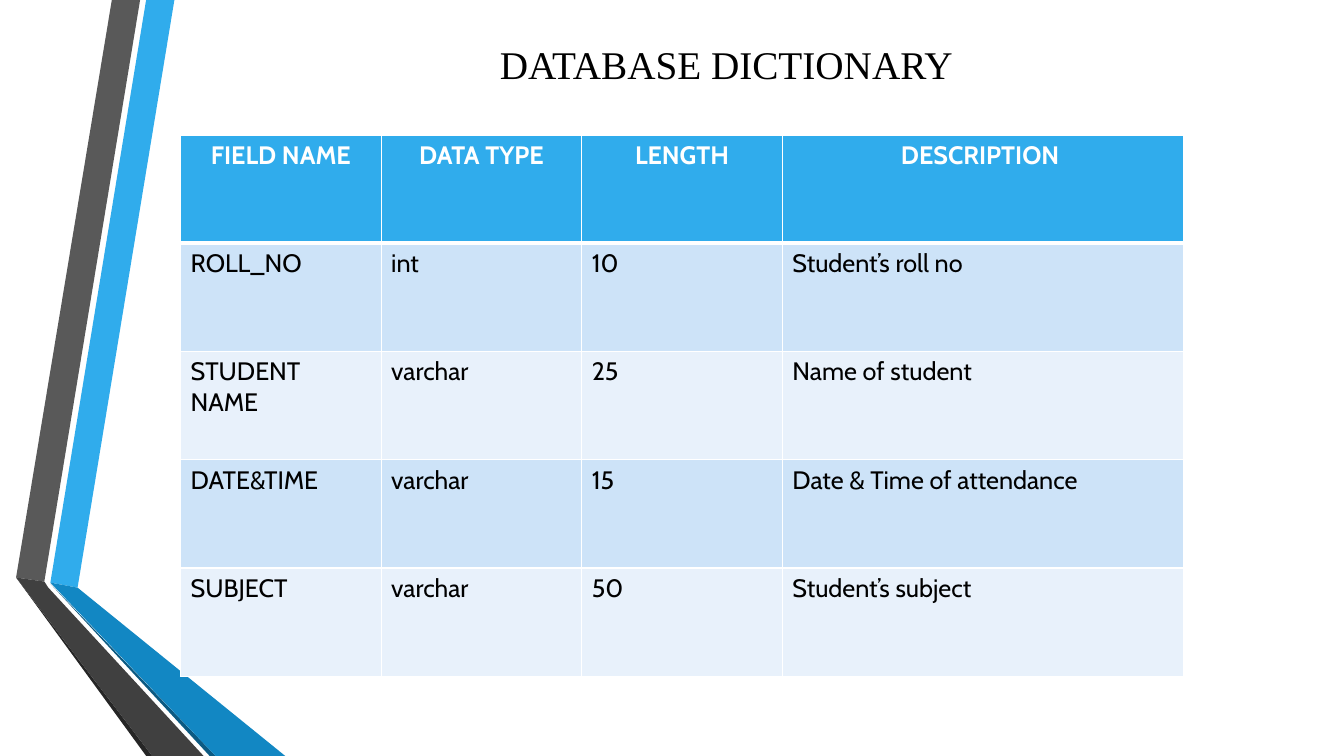
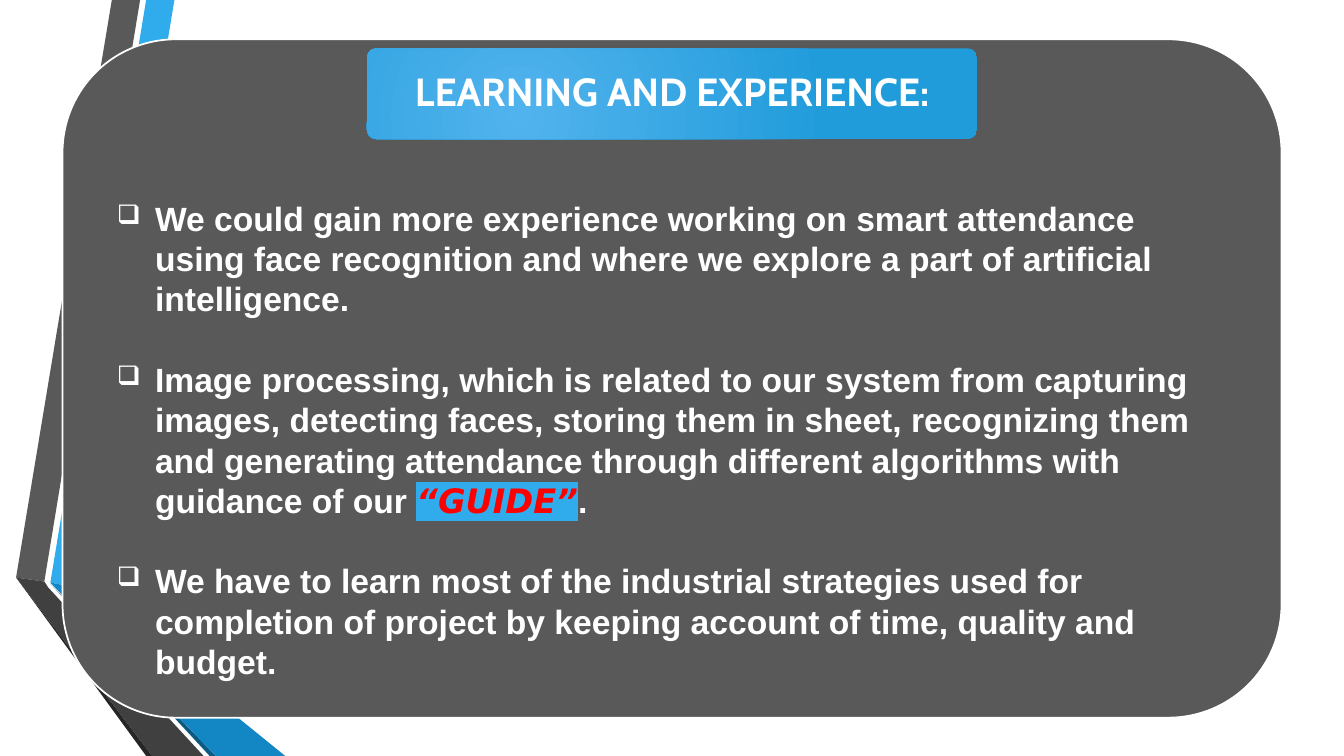
import lxml.etree
import pptx
import pptx.dml.color
import pptx.enum.shapes
import pptx.enum.text
import pptx.oxml
import pptx.oxml.ns
import pptx.util

SCALE = 9144
SLIDE_BOX = (0, 0, 1333, 750)
WHITE, BLACK, RED = "FFFFFF", "000000", "FF0000"
BLUE, GREY = "30ACEC", "595959"
ROW_FILLS = ("CDE3F8", "E8F1FB")
HEADING_GRADIENT = ("51B3ED", "219CDB")
SHAPES = pptx.enum.shapes.MSO_SHAPE
CENTER = pptx.enum.text.PP_ALIGN.CENTER

RIBBONS = (
    (BLUE, ((50, 578), (77, 583), (173, 0), (145, 0))),
    (GREY, ((139, 0), (111, 0), (16, 573), (44, 577))),
    ("262626", ((16, 573), (145, 750), (151, 750))),
    ("0C5A82", ((50, 579), (208, 750), (214, 750))),
    ("1287C3", ((50, 578), (214, 750), (283, 750), (77, 583))),
    ("404040", ((202, 750), (48, 583), (44, 577), (16, 573), (151, 750))),
)

DICTIONARY = (
    ("FIELD NAME", "DATA TYPE", "LENGTH", "DESCRIPTION "),
    ("ROLL_NO", "int", "10", "Student’s roll no"),
    ("STUDENT NAME", "varchar", "25", "Name of student"),
    ("DATE&TIME", "varchar", "15", "Date & Time of attendance"),
    ("SUBJECT", "varchar", "50", "Student’s subject"),
)
COLUMN_SHARES = (1, 1, 1, 2)

LESSONS = (
    ("We could gain more experience working on smart attendance using face "
     "recognition and where we explore a part of artificial intelligence.",),
    ("Image processing, which is related to our system from capturing images, "
     "detecting faces, storing them in sheet, recognizing them and generating "
     "attendance through different algorithms with guidance of our ", "“GUIDE”", "."),
    ("We have to learn most of the industrial strategies used for completion of "
     "project by keeping account of time, quality and budget.",),
)


def px(length):
    """Turn px into EMU."""
    return pptx.util.Emu(round(length * SCALE))


def color(value):
    """Turn a hex string into a colour."""
    return pptx.dml.color.RGBColor.from_string(value)


def add_xml(parent, tag, **attributes):
    """Append a DrawingML element to a parent."""
    return lxml.etree.SubElement(parent, pptx.oxml.ns.qn(tag), attributes)


def paint(shape, fill=None, line=None, line_width=1):
    """Give a shape a flat fill and an optional outline, without shadow."""
    shape.shadow.inherit = False
    if fill:
        shape.fill.solid()
        shape.fill.fore_color.rgb = color(fill)
    if line:
        shape.line.color.rgb = color(line)
        shape.line.width = pptx.util.Pt(line_width)
    else:
        shape.line.fill.background()


def style_run(run, size, font, ink, bold=False):
    """Set the font of a run."""
    run.font.size = pptx.util.Pt(size)
    run.font.name = font
    run.font.bold = bold
    run.font.color.rgb = color(ink)


def add_text_box(slide, box, wrap=True):
    """Place an empty text box and return its text frame."""
    frame = slide.shapes.add_textbox(*map(px, box)).text_frame
    frame.word_wrap = wrap
    return frame


def add_ribbons(slide, box):
    """Draw the folded ribbons at the left of the box."""
    left, top = box[:2]
    for fill, points in RIBBONS:
        outline = [(left + x, top + y) for x, y in points]
        builder = slide.shapes.build_freeform(*outline[0], scale=SCALE)
        builder.add_line_segments(outline[1:], close=True)
        paint(builder.convert_to_shape(), fill)


def add_slide(presentation):
    """Add a blank slide with the shared ribbons."""
    slide = presentation.slides.add_slide(presentation.slide_layouts[6])
    add_ribbons(slide, SLIDE_BOX)
    return slide


def add_cell_borders(cell, widths):
    """Give a cell white borders: left, right, top and bottom widths."""
    properties = cell._tc.get_or_add_tcPr()
    for side, width in zip("LRTB", widths):
        border = add_xml(properties, f"a:ln{side}", w=str(pptx.util.Pt(width)))
        add_xml(add_xml(border, "a:solidFill"), "a:srgbClr", val=WHITE)


def add_dictionary_table(slide, box):
    """Fill the box with the table of database fields."""
    table = slide.shapes.add_table(len(DICTIONARY), len(COLUMN_SHARES), *map(px, box)).table
    table.horz_banding = False
    for column, share in zip(table.columns, COLUMN_SHARES):
        column.width = px(box[2] * share / sum(COLUMN_SHARES))
    for row_index, row in enumerate(DICTIONARY):
        header = row_index == 0
        for column_index, text in enumerate(row):
            cell = table.cell(row_index, column_index)
            cell.text_frame.text = text
            paragraph = cell.text_frame.paragraphs[0]
            if header:
                paragraph.alignment = CENTER
            style_run(paragraph.runs[0], 18, "Cabin", WHITE if header else BLACK, header)
            add_cell_borders(cell, (1, 1, 3 if row_index == 1 else 1, 3 if header else 1))
            cell.fill.solid()
            cell.fill.fore_color.rgb = color(BLUE if header else ROW_FILLS[(row_index - 1) % 2])


def add_plain_title(slide, box, text):
    """Write an unwrapped serif title in the box."""
    frame = add_text_box(slide, box, wrap=False)
    frame.text = text
    style_run(frame.paragraphs[0].runs[0], 28, "Times New Roman", BLACK)


def add_heading_plate(slide, box, text):
    """Draw a rounded gradient plate with a centred heading."""
    plate = slide.shapes.add_shape(SHAPES.ROUNDED_RECTANGLE, *map(px, box))
    plate.adjustments[0] = 0.1
    paint(plate)
    plate.fill.gradient()
    for stop, value in zip(plate.fill.gradient_stops, HEADING_GRADIENT):
        stop.color.rgb = color(value)
    gradient = plate._element.spPr.find(pptx.oxml.ns.qn("a:gradFill"))
    gradient.remove(gradient.find(pptx.oxml.ns.qn("a:lin")))
    circle = add_xml(gradient, "a:path", path="circle")
    add_xml(circle, "a:fillToRect", l="50000", t="100000", r="100000", b="50000")

    frame = plate.text_frame
    frame.word_wrap = True
    frame.vertical_anchor = pptx.enum.text.MSO_ANCHOR.MIDDLE
    frame.text = text
    paragraph = frame.paragraphs[0]
    paragraph.alignment = CENTER
    paragraph.line_spacing = 0.9
    style_run(paragraph.runs[0], 28, "Cabin", WHITE, True)


def add_bullet(paragraph, indent):
    """Hang a square bullet in front of a paragraph."""
    properties = paragraph._p.get_or_add_pPr()
    properties.set("marL", str(px(indent)))
    properties.set("indent", str(px(-indent)))
    add_xml(properties, "a:buSzPct", val="80000")
    add_xml(properties, "a:buChar", char="❑")


def highlight(run, value):
    """Mark a run with a background colour."""
    properties = run._r.get_or_add_rPr()
    marker = add_xml(properties, "a:highlight")
    add_xml(marker, "a:srgbClr", val=value)
    properties.find(pptx.oxml.ns.qn("a:latin")).addprevious(marker)


def add_lessons(slide, box):
    """Write the bulleted lessons in the box."""
    frame = add_text_box(slide, box)
    line_height = pptx.util.Pt(28.8)
    for index, parts in enumerate(LESSONS):
        paragraph = frame.add_paragraph() if index else frame.paragraphs[0]
        paragraph.line_spacing = line_height
        if index:
            paragraph.space_before = line_height
        add_bullet(paragraph, 38)
        for part in parts:
            run = paragraph.add_run()
            run.text = part
            if part == "“GUIDE”":
                style_run(run, 24, "DejaVu Sans", RED, True)
                run.font.italic = True
                highlight(run, BLUE)
            else:
                style_run(run, 24, "Arial", WHITE, True)


def add_lessons_panel(slide, box):
    """Draw the dark panel with its heading and lessons."""
    left, top, width, height = box
    panel = slide.shapes.add_shape(SHAPES.FLOWCHART_ALTERNATE_PROCESS, *map(px, box))
    paint(panel, GREY, WHITE, 1.25)
    add_heading_plate(slide, (left + 302, top + 9, 605, 90), "LEARNING AND EXPERIENCE:")
    add_lessons(slide, (left + 44, top + 152, width - 88, height - 178))


def main():
    """Build and save the presentation."""
    presentation = pptx.Presentation()
    presentation.slide_width, presentation.slide_height = map(px, SLIDE_BOX[2:])
    dictionary_slide = add_slide(presentation)
    add_dictionary_table(dictionary_slide, (179, 134, 995, 537))
    add_plain_title(dictionary_slide, (486, 35, 475, 57), "DATABASE DICTIONARY")
    add_lessons_panel(add_slide(presentation), (62, 39, 1209, 673))
    presentation.save("out.pptx")


if __name__ == "__main__":
    main()
